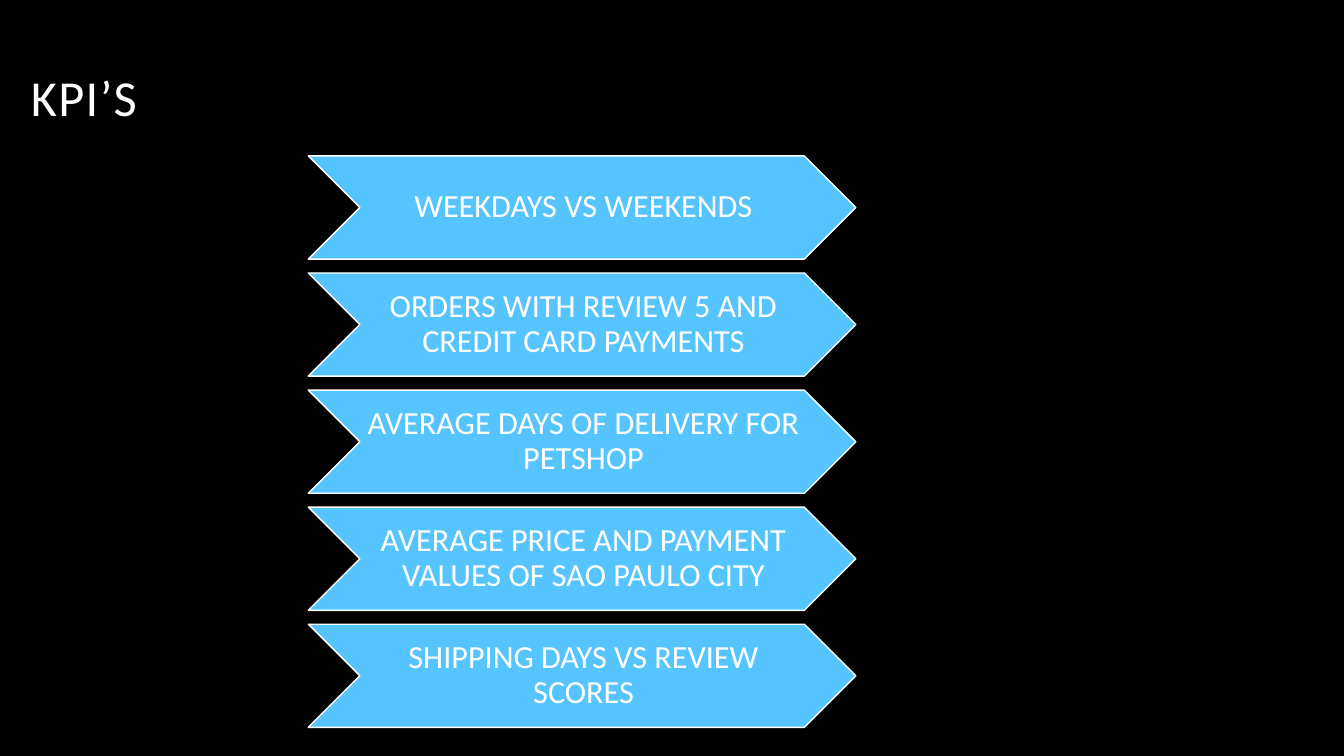
from pptx import Presentation
from pptx.dml.color import RGBColor
from pptx.enum.shapes import MSO_SHAPE
from pptx.enum.text import MSO_ANCHOR, PP_ALIGN
from pptx.util import Cm, Pt

CHEVRON = MSO_SHAPE.CHEVRON
MIDDLE, BOTTOM = MSO_ANCHOR.MIDDLE, MSO_ANCHOR.BOTTOM
LEFT, CENTER = PP_ALIGN.LEFT, PP_ALIGN.CENTER

BLACK, WHITE, BLUE = "000000", "FFFFFF", "56C5FF"
TOP, STEP = 3.93, 2.95
KPIS = [
    "WEEKDAYS VS WEEKENDS",
    "ORDERS WITH REVIEW 5 AND CREDIT CARD PAYMENTS",
    "AVERAGE DAYS OF DELIVERY FOR PETSHOP",
    "AVERAGE PRICE AND PAYMENT VALUES OF SAO PAULO CITY",
    "SHIPPING DAYS VS REVIEW SCORES",
]


def paint(color, value):
    color.rgb = RGBColor.from_string(value)


def write(shape, text, size, align, frame):
    """Fill the shape with one white paragraph and return its run."""
    for name, value in frame.items():
        setattr(shape.text_frame, name, value)
    para = shape.text_frame.paragraphs[0]
    para.alignment = align
    para.line_spacing = 0.9
    run = para.add_run()
    run.text = text
    for name, value in {"name": "Calibri", "size": Pt(size)}.items():
        setattr(run.font, name, value)
    paint(run.font.color, WHITE)
    return run


deck = Presentation()
deck.slide_width, deck.slide_height = Cm(33.87), Cm(19.05)
slide = deck.slides.add_slide(deck.slide_layouts[6])
slide.background.fill.solid()
paint(slide.background.fill.fore_color, BLACK)

title = slide.shapes.add_textbox(Cm(0.53), Cm(0.43), Cm(25.4), Cm(2.9))
head = write(title, "KPI’S", 36, LEFT,
             {"word_wrap": True, "vertical_anchor": BOTTOM})
head.font._element.set("spc", "100")

inner = {
    "word_wrap": True,
    "vertical_anchor": MIDDLE,
    "margin_left": Cm(0.08),
    "margin_right": Cm(0),
    "margin_top": Cm(0.05),
    "margin_bottom": Cm(0.05),
}
for row, kpi in enumerate(KPIS):
    arrow = slide.shapes.add_shape(
        CHEVRON, Cm(7.77), Cm(TOP + row * STEP), Cm(13.8), Cm(2.6))
    arrow.shadow.inherit = False
    arrow.fill.solid()
    paint(arrow.fill.fore_color, BLUE)
    paint(arrow.line.color, WHITE)
    arrow.line.width = Pt(1)
    write(arrow, kpi, 23, CENTER, inner)

deck.save("out.pptx")
